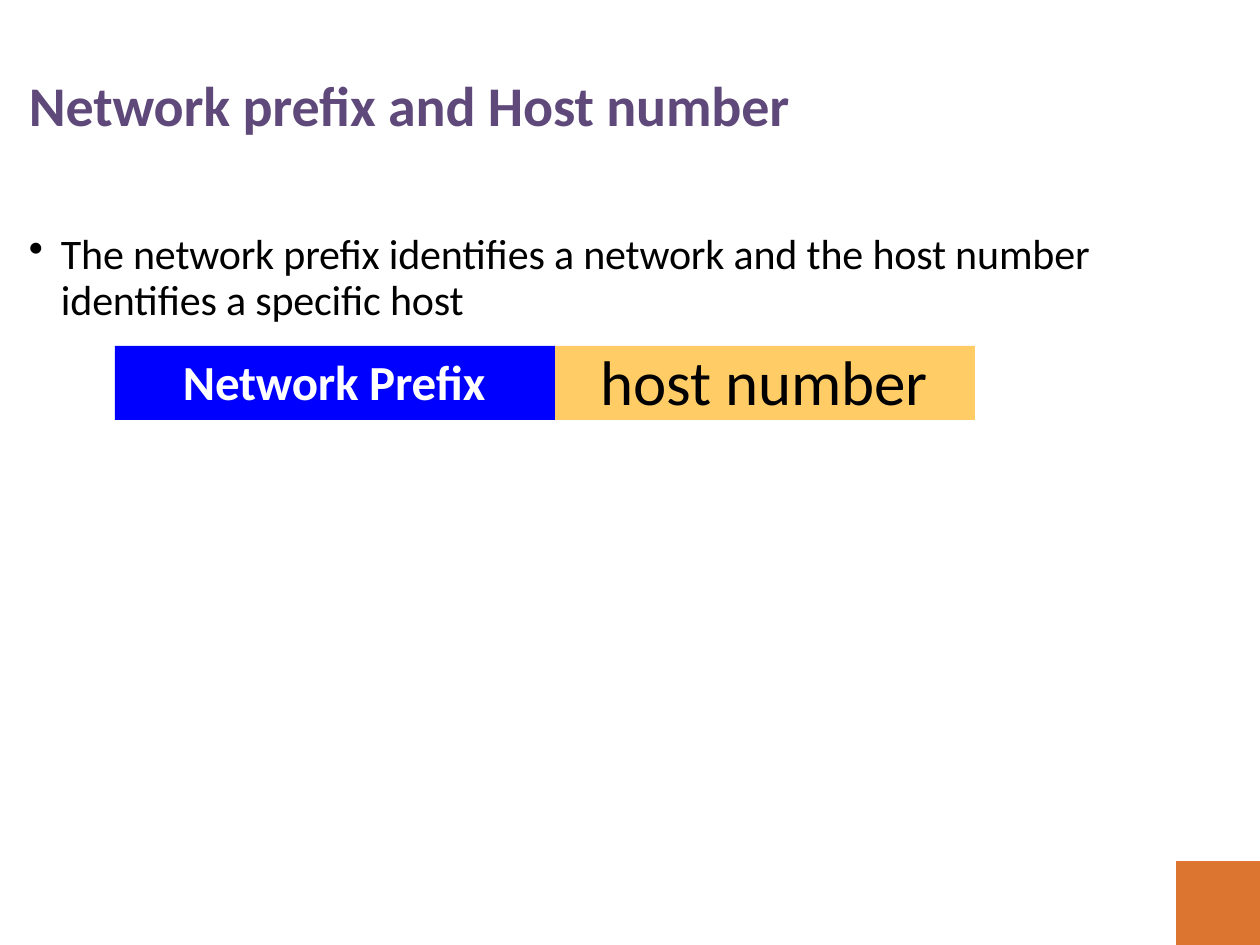
import pptx
import pptx.dml.color
import pptx.enum.shapes
import pptx.oxml
import pptx.oxml.ns
import pptx.util

PX = 914400 / 126
COLORS = {
    "title": "5F497A",
    "body": "000000",
    "prefix": "0000FF",
    "host": "FFCC66",
    "corner": "DB7530",
    "light": "FFFFFF",
}


def px(n):
    return pptx.util.Emu(round(n * PX))


def rgb(name):
    return pptx.dml.color.RGBColor.from_string(COLORS[name])


class Deck:
    font = "Calibri"
    spacing = "-10"

    def __init__(self, width, height):
        self.prs = pptx.Presentation()
        self.prs.slide_width, self.prs.slide_height = px(width), px(height)
        self.s = self.prs.slides.add_slide(self.prs.slide_layouts[6])

    def block(self, x, y, w, h, color):
        sp = self.s.shapes.add_shape(
            pptx.enum.shapes.MSO_SHAPE.RECTANGLE, px(x), px(y), px(w), px(h))
        sp.shadow.inherit = False
        sp.fill.solid()
        sp.fill.fore_color.rgb = rgb(color)
        sp.line.fill.background()

    def text(self, x, y, w, h, text, size, color, bold=False, top=3):
        """Add a text box without side insets and return its paragraph."""
        tf = self.s.shapes.add_textbox(px(x), px(y), px(w), px(h)).text_frame
        tf.word_wrap = True
        tf.margin_left = tf.margin_right = tf.margin_bottom = 0
        tf.margin_top = px(top)
        p = tf.paragraphs[0]
        r = p.add_run()
        r.text = text
        r._r.get_or_add_rPr().set("spc", self.spacing)
        p.font.name = self.font
        p.font.size = pptx.util.Pt(size)
        p.font.bold = bold
        p.font.color.rgb = rgb(color)
        return p

    def bullet(self, x, y, w, h, text, size, color, line, top):
        p = self.text(x, y, w, h, text, size, color, top=top)
        p.line_spacing = pptx.util.Pt(line)
        pPr = p._p.get_or_add_pPr()
        pPr.set("marL", str(px(32)))
        pPr.set("indent", str(-px(32)))
        bu = pptx.oxml.parse_xml(
            '<a:buChar %s char="•"/>' % pptx.oxml.ns.nsdecls("a"))
        pPr.insert_element_before(bu, "a:tabLst", "a:defRPr", "a:extLst")


def main():
    deck = Deck(1260, 945)
    deck.block(1176, 861, 84, 84, "corner")
    deck.bullet(29, 218, 1074, 100,
                "The network prefix identifies a network and the host number "
                " identifies a specific host", 24, "body", line=25.9, top=15)
    deck.text(29, 68, 770, 71, "Network prefix and Host number", 32, "title", bold=True)

    deck.block(555, 346, 420, 74, "host")
    deck.text(601, 340, 330, 79, "host number", 36, "body")
    deck.block(115, 346, 440, 74, "prefix")
    deck.text(183, 349, 307, 62, "Network Prefix", 28, "light", bold=True)
    deck.prs.save("out.pptx")


if __name__ == "__main__":
    main()
